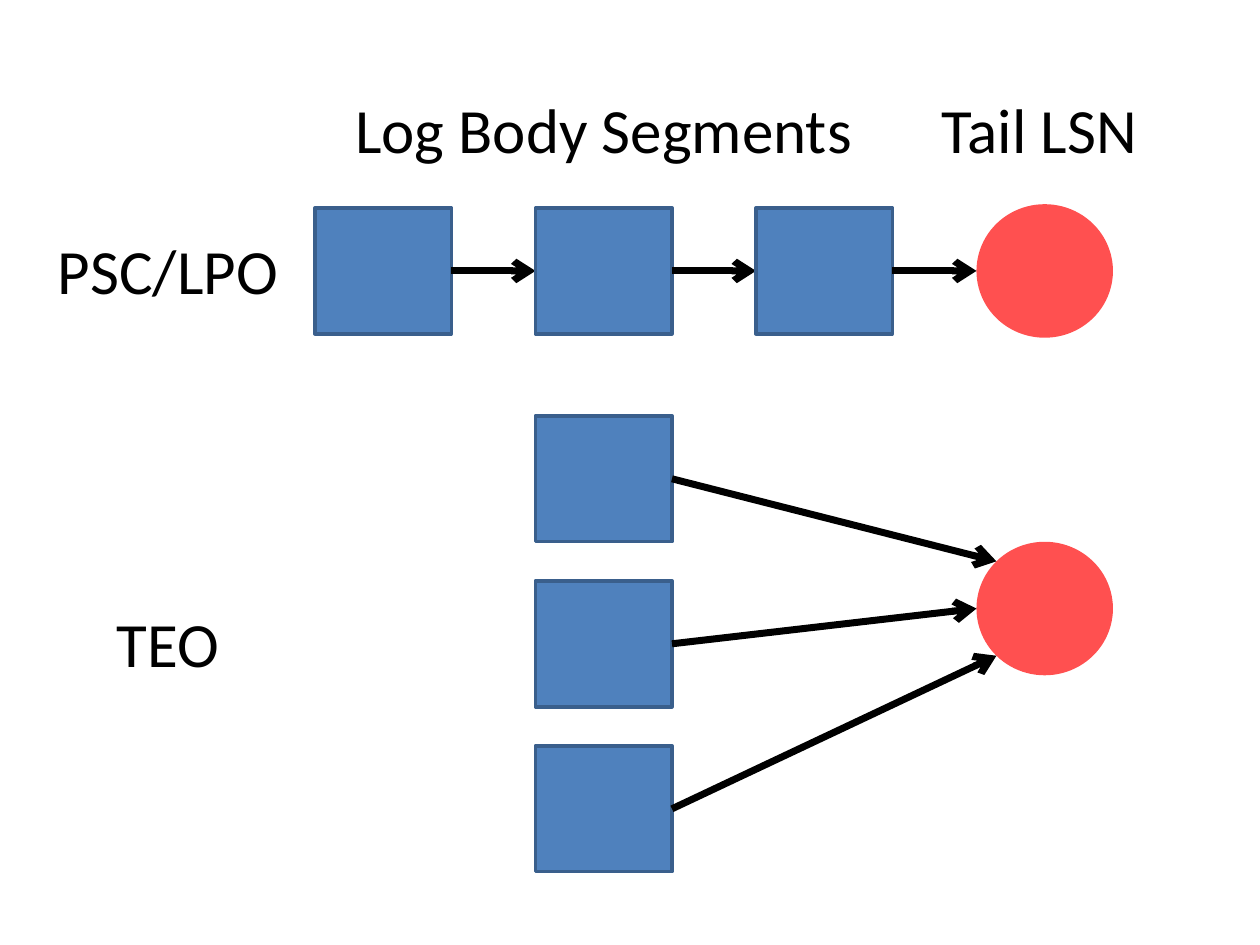
from math import sqrt
from pptx import Presentation
from pptx.util import Pt
from pptx.dml.color import RGBColor
from pptx.enum.shapes import MSO_SHAPE, MSO_CONNECTOR
from pptx.enum.text import PP_ALIGN, MSO_AUTO_SIZE
from pptx.oxml.ns import qn
from lxml.etree import SubElement

# Content: text, left, top, width
LABELS = [
    ("Log Body Segments", 168, 48, 354),
    ("Tail LSN", 504, 48, 180),
    ("PSC/LPO", 6, 129, 180),
    ("TEO", 6, 342, 180),
]
BLUE, EDGE, RED, BLACK = "4F81BD", "3A5F8C", "FF5050", "000000"

# Layout
WIDE, HIGH, ROUND = 78, 72, 76.3
LEFT, STEP = 180, 126
COLS = [LEFT + STEP * i for i in range(4)]
CHAIN_Y = 118.8
STACK = [237.6 + 94.3 * i for i in range(3)]
TAIL_X = COLS[3]
CHAIN_TAIL, STACK_TAIL = 116.7, 309.6

deck = Presentation()
deck.slide_width, deck.slide_height = Pt(720), Pt(540)
slide = deck.slides.add_slide(deck.slide_layouts[6])
shapes = slide.shapes


def color(code):
    return RGBColor.from_string(code)


def node(kind, x, y, high, fill, edge=None):
    item = shapes.add_shape(kind, Pt(x), Pt(y), Pt(WIDE), Pt(high))
    item.shadow.inherit = False
    item.fill.solid()
    item.fill.fore_color.rgb = color(fill)
    if edge:
        item.line.color.rgb = color(edge)
        item.line.width = Pt(2)
    else:
        item.line.fill.background()


def segment(x, y):
    node(MSO_SHAPE.RECTANGLE, x, y, HIGH, BLUE, EDGE)


def tail(y):
    node(MSO_SHAPE.OVAL, TAIL_X, y, ROUND, RED)


def arrow(x1, y1, x2, y2):
    link = shapes.add_connector(MSO_CONNECTOR.STRAIGHT, Pt(x1), Pt(y1), Pt(x2), Pt(y2))
    link.line.color.rgb = color(BLACK)
    link.line.width = Pt(4)
    SubElement(link.line._get_or_add_ln(), qn("a:tailEnd"), type="arrow")
    SubElement(link._element.spPr, qn("a:effectLst"))


def label(text, x, y, wide):
    frame = shapes.add_textbox(Pt(x), Pt(y), Pt(wide), Pt(51)).text_frame
    frame.word_wrap = True
    frame.auto_size = MSO_AUTO_SIZE.SHAPE_TO_FIT_TEXT
    frame.text = text
    line = frame.paragraphs[0]
    line.alignment = PP_ALIGN.CENTER
    font = line.runs[0].font
    font.name, font.size = "Calibri", Pt(36)
    font.color.rgb = color(BLACK)


# Chain of segments ending in the tail
tail(CHAIN_TAIL)
mid = CHAIN_Y + HIGH / 2
for x, after in zip(COLS, COLS[1:]):
    segment(x, CHAIN_Y)
    arrow(x + WIDE, mid, after, mid)

# Stack of segments, each pointing at the left side of the tail
tail(STACK_TAIL)
center_x, center_y = TAIL_X + WIDE / 2, STACK_TAIL + ROUND / 2
for y, turn in zip(STACK, (-1, 0, 1)):
    segment(COLS[1], y)
    reach = 1 / sqrt(2) if turn else 1
    arrow(COLS[1] + WIDE, y + HIGH / 2,
          center_x - reach * WIDE / 2, center_y + turn * reach * ROUND / 2)

# Labels
for entry in LABELS:
    label(*entry)

deck.save("out.pptx")
